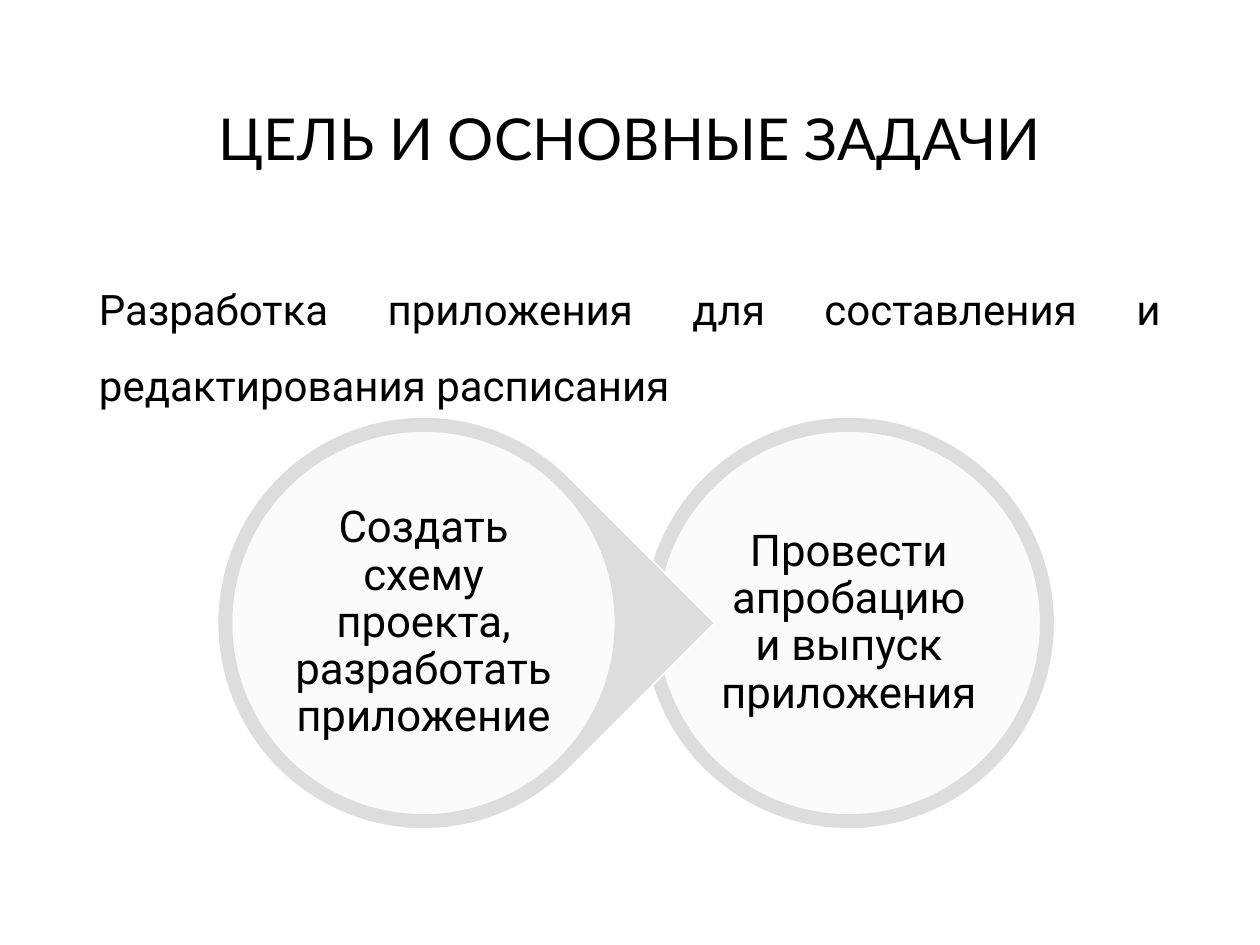
import pptx
import pptx.util
import pptx.dml.color
import pptx.enum.shapes
import pptx.enum.text
import lxml.etree

Pt = pptx.util.Pt
RGB = pptx.dml.color.RGBColor.from_string
Shape = pptx.enum.shapes.MSO_SHAPE
Align = pptx.enum.text.PP_ALIGN
Anchor = pptx.enum.text.MSO_ANCHOR

colors = {"ring": "DDDDDD", "white": "FFFFFF", "text": "000000"}


def write(box, text, size, font="Roboto", align=Align.CENTER,
          anchor=Anchor.MIDDLE, space=0.9, before=0, inset=(7.2, 3.6)):
    frame = box.text_frame
    frame.word_wrap = True
    frame.auto_size = pptx.enum.text.MSO_AUTO_SIZE.NONE
    frame.vertical_anchor = anchor
    frame.margin_left = frame.margin_right = Pt(inset[0])
    frame.margin_top = frame.margin_bottom = Pt(inset[1])
    para = frame.paragraphs[0]
    para.alignment = align
    para.line_spacing = space
    para.space_before = Pt(before)
    run = para.add_run()
    run.text = text
    run.font.size = Pt(size)
    run.font.name = font
    run.font.color.rgb = RGB(colors["text"])


def draw(kind, mid, size, fill, line):
    left, top = mid[0] - size / 2, mid[1] - size / 2
    item = slide.shapes.add_shape(kind, Pt(left), Pt(top), Pt(size), Pt(size))
    item.shadow.inherit = False
    item.fill.solid()
    item.fill.fore_color.rgb = RGB(colors[fill])
    item.line.color.rgb = RGB(colors[line])
    item.line.width = Pt(1)
    return item


deck = pptx.Presentation()
deck.slide_width, deck.slide_height = Pt(720), Pt(540)
slide = deck.slides.add_slide(deck.slide_layouts[5])

title = slide.shapes.title
title.left, title.top, title.width, title.height = Pt(49.5), Pt(28.75), Pt(621), Pt(104.5)
write(title, "ЦЕЛЬ И ОСНОВНЫЕ ЗАДАЧИ", 33, font="Lato")

tasks = [
    (485, Shape.OVAL, 0, "Провести апробацию и выпуск приложения"),
    (242, Shape.TEAR, 45, "Создать схему проекта, разработать приложение"),
]
side = 157
for x, kind, turn, text in tasks:
    mid = (x, 356)
    ring = draw(kind, mid, 235.5, "ring", "white")
    ring.rotation = turn
    disc = draw(Shape.OVAL, mid, 219.5, "white", "ring")
    tint = disc.fill._xPr.find(".//" + pptx.oxml.ns.qn("a:srgbClr"))
    lxml.etree.SubElement(tint, pptx.oxml.ns.qn("a:alpha"), val="90000")
    label = slide.shapes.add_textbox(
        Pt(x - side / 2), Pt(mid[1] - side / 2), Pt(side), Pt(side))
    write(label, text, 25, inset=(2.5, 2.5))

goal = slide.shapes.add_textbox(Pt(49.5), Pt(144), Pt(621), Pt(342.5))
write(goal, "Разработка приложения для составления и редактирования расписания", 24,
      align=Align.JUSTIFY, anchor=Anchor.TOP, space=1.5, before=7.5)

deck.save("out.pptx")
